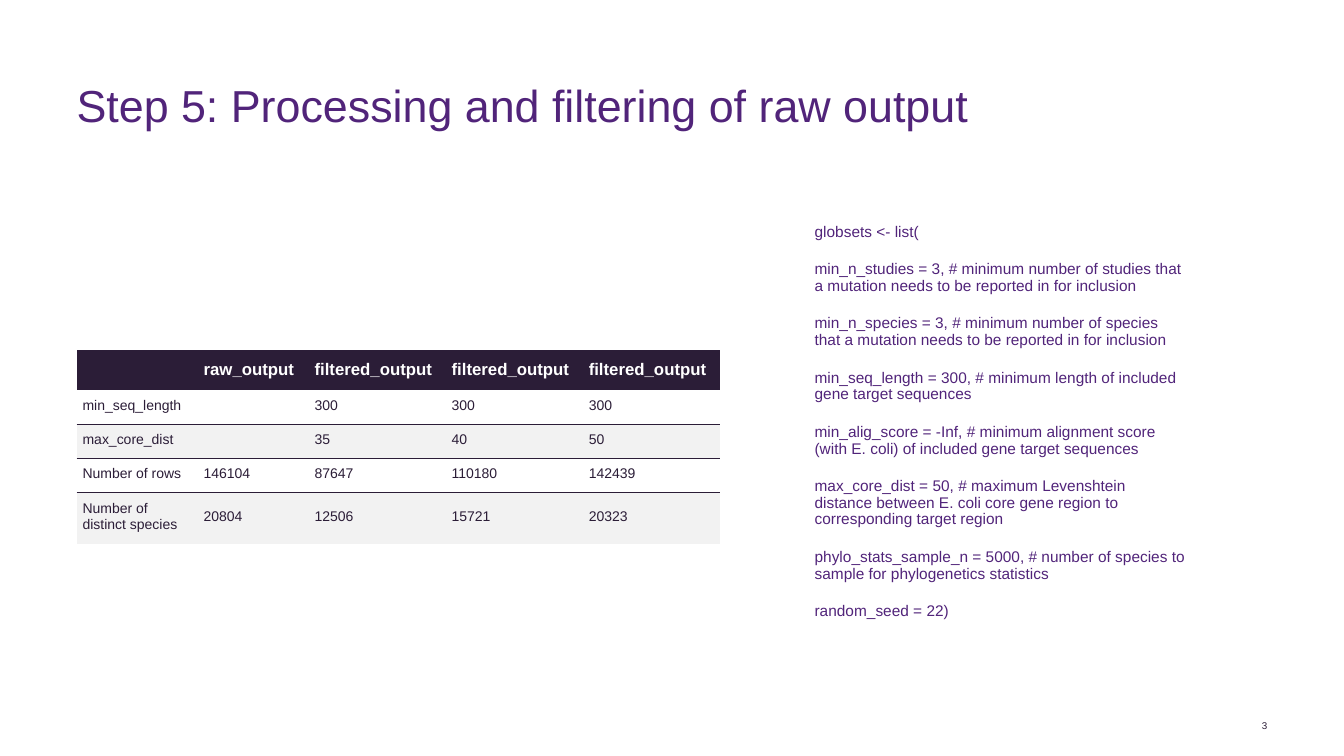
import pptx
import pptx.dml.color
import pptx.enum.text
import pptx.oxml
import pptx.oxml.ns
import pptx.util

Inches = pptx.util.Inches
Pt = pptx.util.Pt
MIDDLE = pptx.enum.text.MSO_ANCHOR.MIDDLE

COLORS = {"purple": "51247A", "dark": "2B1D37", "band": "F2F2F2", "white": "FFFFFF"}
FONT = "Arial"
LEFT = 0.76
NO_STYLE = "{2D5ABB26-0587-4C30-8999-92F81FD0307C}"


def style(paragraph, size, color, bold=False):
    paragraph.font.name = FONT
    paragraph.font.size = Pt(size)
    paragraph.font.bold = bold
    paragraph.font.color.rgb = pptx.dml.color.RGBColor.from_string(COLORS[color])


def add_text(left, top, width, height, lines, size, color):
    """Add a text box without margins, one paragraph per line, and return its frame."""
    box = slide.shapes.add_textbox(Inches(left), Inches(top), Inches(width), Inches(height))
    frame = box.text_frame
    frame.word_wrap = True
    frame.margin_left = frame.margin_top = frame.margin_right = frame.margin_bottom = 0
    frame.text = "\n".join(lines)
    for paragraph in frame.paragraphs:
        style(paragraph, size, color)
        paragraph.line_spacing = 0.9
    return frame


deck = pptx.Presentation()
deck.slide_width = Inches(13.33)
deck.slide_height = Inches(7.5)
slide = deck.slides.add_slide(deck.slide_layouts[6])

# Title
add_text(LEFT, 0.83, 10.47, 0.51, ["Step 5: Processing and filtering of raw output"], 32, "purple")

# Settings list
settings = [
    "globsets <- list(",
    "min_n_studies = 3, # minimum number of studies that a mutation needs to be reported in for inclusion",
    "min_n_species = 3, # minimum number of species that a mutation needs to be reported in for inclusion",
    "min_seq_length = 300, # minimum length of included gene target sequences",
    "min_alig_score = -Inf, # minimum alignment score (with E. coli) of included gene target sequences",
    "max_core_dist = 50, # maximum Levenshtein distance between E. coli core gene region "
    "to corresponding target region",
    "phylo_stats_sample_n = 5000, # number of species to sample for phylogenetics statistics",
    "random_seed = 22)",
]
settings_frame = add_text(8.08, 2.22, 3.7, 4.44, settings, 11, "purple")
for paragraph in settings_frame.paragraphs:
    paragraph.space_before = Pt(3)
    paragraph.space_after = Pt(12)

# Filtering results
results = [
    ["", "raw_output", "filtered_output", "filtered_output", "filtered_output"],
    ["min_seq_length", "", "300", "300", "300"],
    ["max_core_dist", "", "35", "40", "50"],
    ["Number of rows", "146104", "87647", "110180", "142439"],
    ["Number of distinct species", "20804", "12506", "15721", "20323"],
]
column_widths = [1.2, 1.1, 1.36, 1.36, 1.36]
row_heights = [0.4, 0.34, 0.34, 0.34, 0.51]
results_frame = slide.shapes.add_table(
    len(row_heights), len(column_widths), Inches(LEFT), Inches(3.47),
    Inches(sum(column_widths)), Inches(sum(row_heights)))
table = results_frame.table
table._tbl.tblPr.find(pptx.oxml.ns.qn("a:tableStyleId")).text = NO_STYLE
for column, width in zip(table.columns, column_widths):
    column.width = Inches(width)
for row, height in zip(table.rows, row_heights):
    row.height = Inches(height)

for r, values in enumerate(results):
    header = r == 0
    banded = not header and r % 2 == 0
    size = 12 if header else 10
    for c, value in enumerate(values):
        cell = table.cell(r, c)
        cell.text = value
        cell.vertical_anchor = MIDDLE
        cell.margin_left = Inches(0.06)
        cell.margin_right = Inches(0.04)
        cell.margin_top = Inches(0.09 if header else 0.05)
        cell.margin_bottom = Inches(0.09)
        paragraph = cell.text_frame.paragraphs[0]
        style(paragraph, size, "white" if header else "dark", header)
        if not value:  # keeps an empty cell from stretching its row
            paragraph._p.append(pptx.oxml.parse_xml(
                f'<a:endParaRPr {pptx.oxml.ns.nsdecls("a")} sz="{size * 100}"/>'))
        if header or banded:
            cell.fill.solid()
            cell.fill.fore_color.rgb = pptx.dml.color.RGBColor.from_string(
                COLORS["dark" if header else "band"])
        else:
            cell.fill.background()
        if not header:
            edge = "lnT" if banded else "lnB"
            if r < len(results) - 1 or banded:
                cell._tc.get_or_add_tcPr().insert(0, pptx.oxml.parse_xml(
                    f'<a:{edge} {pptx.oxml.ns.nsdecls("a")} w="{Pt(1)}"><a:solidFill>'
                    f'<a:srgbClr val="{COLORS["dark"]}"/></a:solidFill></a:{edge}>'))

# Slide number
number_frame = add_text(12.26, 7.14, 0.31, 0.12, ["3"], 7, "dark")
number_frame.vertical_anchor = MIDDLE
number_frame.paragraphs[0].alignment = pptx.enum.text.PP_ALIGN.RIGHT
number_frame.paragraphs[0].line_spacing = 1.0
number_frame.paragraphs[0].space_after = Pt(6)

deck.save("out.pptx")
